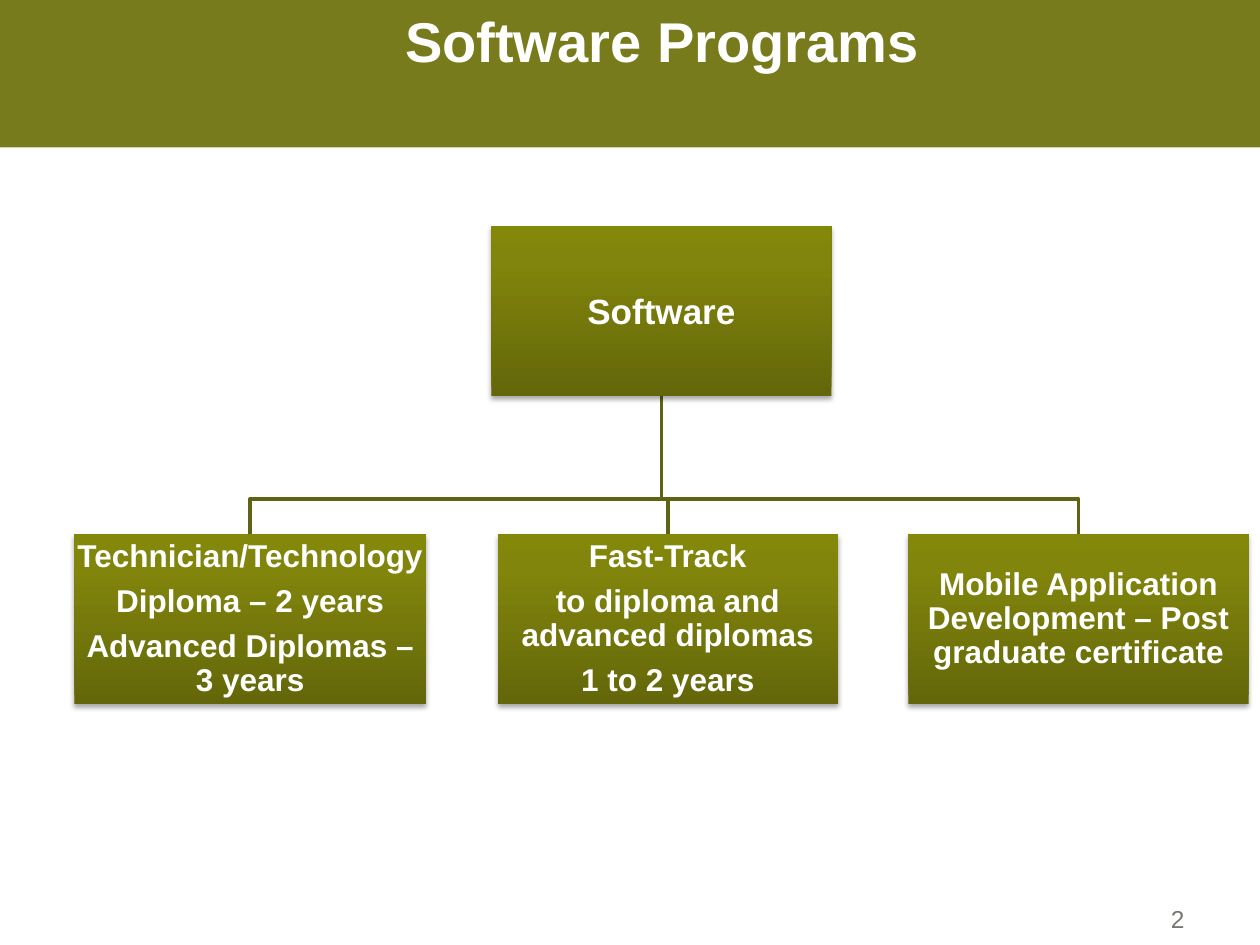
from lxml.etree import SubElement
from pptx import Presentation
from pptx.dml.color import RGBColor
from pptx.enum.shapes import MSO_SHAPE as Shape
from pptx.enum.text import MSO_ANCHOR as Anchor, PP_ALIGN as Align
from pptx.oxml import parse_xml
from pptx.oxml.ns import nsdecls, qn
from pptx.util import Inches, Pt

COLORS = {"banner": "787B1B", "line": "606316", "text": "FFFFFF", "number": "757770",
          "shadow": "000000"}
GRADIENT = {0: "646709", 80: "81850C", 100: "84880A"}
WIDTH, HEIGHT = 10, 7.5
BANNER_HEIGHT = 1.17
BOX_WIDTH, BOX_HEIGHT = 2.7, 1.35
ROOT_TOP, PROGRAM_TOP, BRANCH_Y = 1.79, 4.24, 3.96
PROGRAMS = [
    (0.59, 2.79, ["Technician/Technology", "Diploma – 2 years", "Advanced Diplomas – 3 years"]),
    (3.95, BOX_WIDTH, ["Fast-Track", "to diploma and advanced diplomas", "1 to 2 years"]),
    (7.21, BOX_WIDTH, ["Mobile Application Development – Post graduate certificate"]),
]


def color(name):
    """Return the RGB colour of a palette entry."""
    return RGBColor.from_string(COLORS[name])


def write(shape, paragraphs, size, tone="text", bold=True, align=Align.CENTER,
          anchor=Anchor.MIDDLE, inset=None, line=None, after=None):
    """Fill a shape with formatted paragraphs."""
    frame = shape.text_frame
    frame.word_wrap = True
    frame.vertical_anchor = anchor
    if inset is not None:
        frame.margin_left = frame.margin_right = Inches(inset)
        frame.margin_top = frame.margin_bottom = Inches(inset)
    frame.text = "\n".join(paragraphs)
    for paragraph in frame.paragraphs:
        paragraph.alignment = align
        paragraph.line_spacing = line
        if after is not None:
            paragraph.space_after = Pt(after)
        font = paragraph.runs[0].font
        font.name, font.size, font.bold = "Arial", Pt(size), bold
        font.color.rgb = color(tone)


def add_header(slide, left, top, width, height):
    """Draw the banner and set the slide title on it."""
    banner = slide.shapes.add_shape(
        Shape.RECTANGLE, *map(Inches, (left, top, width, height)))
    banner.shadow.inherit = False
    banner.fill.solid()
    banner.fill.fore_color.rgb = color("banner")
    banner.line.fill.background()
    slide.shapes.title._element.addprevious(banner._element)

    title = slide.shapes.title
    title.left, title.top = Inches(left + 0.67), Inches(top)
    title.width, title.height = Inches(9.17), Inches(height)
    write(title, ["Software Programs"], 32, anchor=Anchor.TOP)


def add_box(slide, left, top, width, height, paragraphs, size, **text_format):
    """Draw one shaded box of the chart with its text."""
    box = slide.shapes.add_shape(
        Shape.RECTANGLE, *map(Inches, (left, top, width, height)))
    box.line.fill.background()
    stops = "".join(f'<a:gs pos="{share * 1000}"><a:srgbClr val="{tone}"/></a:gs>'
                    for share, tone in GRADIENT.items())
    gradient = parse_xml(f'<a:gradFill {nsdecls("a")} rotWithShape="1"><a:gsLst>{stops}</a:gsLst>'
                         '<a:lin ang="16200000" scaled="0"/></a:gradFill>')
    properties = box._element.spPr
    properties.find(qn("a:ln")).addprevious(gradient)
    effects = SubElement(properties, qn("a:effectLst"))
    effects.append(parse_xml(
        f'<a:outerShdw {nsdecls("a")} blurRad="{Pt(3.1)}" dist="{Pt(1.8)}" dir="5400000" '
        f'rotWithShape="0"><a:srgbClr val="{COLORS["shadow"]}"><a:alpha val="35000"/>'
        '</a:srgbClr></a:outerShdw>'))
    write(box, paragraphs, size, inset=0.01, **text_format)


def add_branch(slide, start_x, start_y, end_x, end_y):
    """Draw the elbow line from the root box to a program box."""
    builder = slide.shapes.build_freeform(Inches(start_x), Inches(start_y))
    corners = [(start_x, BRANCH_Y), (end_x, BRANCH_Y), (end_x, end_y)]
    builder.add_line_segments([(Inches(x), Inches(y)) for x, y in corners], close=False)
    branch = builder.convert_to_shape()
    branch.shadow.inherit = False
    branch.fill.background()
    branch.line.color.rgb = color("line")
    branch.line.width = Pt(2)


def add_program_tree(slide, root_left):
    """Draw the root box, its branches and the program boxes."""
    root_center = root_left + BOX_WIDTH / 2
    for left, width, _ in reversed(PROGRAMS):
        add_branch(slide, root_center, ROOT_TOP + BOX_HEIGHT, left + width / 2, PROGRAM_TOP)
    add_box(slide, root_left, ROOT_TOP, BOX_WIDTH, BOX_HEIGHT, ["Software"], 20)
    for left, width, paragraphs in PROGRAMS:
        add_box(slide, left, PROGRAM_TOP, width, BOX_HEIGHT, paragraphs, 18,
                line=0.9, after=6.3)


def add_slide_number(slide, left, top, width, height):
    """Place the slide number at the lower right."""
    number = slide.shapes.add_textbox(*map(Inches, (left, top, width, height)))
    write(number, ["2"], 14, tone="number", bold=False, align=Align.RIGHT)


def main():
    """Build the slide and save it."""
    deck = Presentation()
    deck.slide_width, deck.slide_height = Inches(WIDTH), Inches(HEIGHT)
    slide = deck.slides.add_slide(deck.slide_layouts[5])
    add_header(slide, 0, 0, WIDTH, BANNER_HEIGHT)
    add_slide_number(slide, 7.17, 7.08, 2.33, 0.42)
    add_program_tree(slide, 3.9)
    deck.save("out.pptx")


main()
